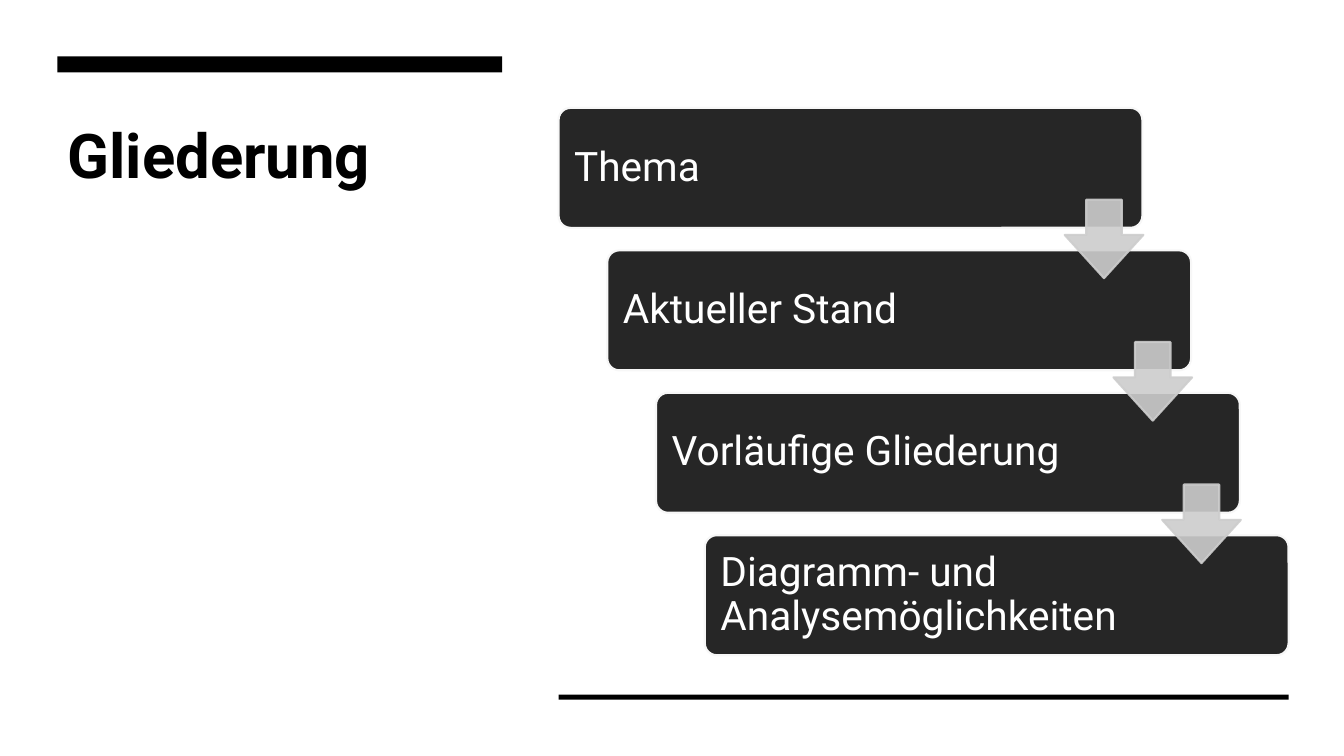
from lxml import etree
from pptx import Presentation
from pptx.dml.color import RGBColor
from pptx.enum.shapes import MSO_SHAPE
from pptx.enum.text import MSO_ANCHOR, PP_ALIGN
from pptx.oxml.ns import qn
from pptx.util import Pt

PX = 9144  # 100 px to the inch
FONT = "Roboto"
BLACK, WHITE, DARK, PALE, GREY = "000000", "FFFFFF", "262626", "F7F7F7", "CDCDCD"
STEPS = ["Thema", "Aktueller Stand", "Vorläufige Gliederung",
         "Diagramm- und Analysemöglichkeiten"]


def rgb(color):
    return RGBColor.from_string(color)


def set_opacity(fill, percent):
    color = fill._xPr.find(qn("a:solidFill"))[0]
    etree.SubElement(color, qn("a:alpha")).set("val", str(percent * 1000))


def add_shape(slide, kind, box, fill, line=None, adjust=(), opacity=100):
    s = slide.shapes.add_shape(kind, *(round(v * PX) for v in box))
    s.shadow.inherit = False
    s.fill.solid()
    s.fill.fore_color.rgb = rgb(fill)
    if line:
        s.line.color.rgb = rgb(line)
        s.line.width = Pt(1.5)
    else:
        s.line.fill.background()
    for i, value in enumerate(adjust):
        s.adjustments[i] = value
    if opacity < 100:
        set_opacity(s.fill, opacity)
        if line:
            set_opacity(s.line.fill, opacity)
    return s


def write(s, text, size, color, bold=False, anchor=MSO_ANCHOR.TOP,
          margins=(10, 5, 10, 5), spacing=1.0):
    tf = s.text_frame
    tf.word_wrap = True
    tf.vertical_anchor = anchor
    tf.margin_left, tf.margin_top, tf.margin_right, tf.margin_bottom = (
        m * PX for m in margins)
    p = tf.paragraphs[0]
    p.alignment = PP_ALIGN.LEFT
    p.line_spacing = spacing
    r = p.add_run()
    r.text = text
    r.font.name = FONT
    r.font.size = Pt(size)
    r.font.bold = bold
    r.font.color.rgb = rgb(color)


def add_heading(slide, x, y, w, h):
    """Place the title under a thick bar."""
    add_shape(slide, MSO_SHAPE.RECTANGLE, (x, y, w, 16), BLACK)
    title = slide.shapes.add_textbox(x * PX, (y + 51) * PX, w * PX, (h - 51) * PX)
    write(title, "Gliederung", 44, BLACK, bold=True, margins=(10, 9, 10, 5))


def add_staircase(slide, x, y, w, h):
    """Place the steps from top left to bottom right, joined by arrows."""
    step_w, step_h, arrow = 579, 119, 78
    gaps = len(STEPS) - 1
    dx, dy = (w - step_w) / gaps, (h - step_h) / gaps
    corners = [(x + i * dx, y + i * dy) for i in range(len(STEPS))]
    for (left, top), text in zip(corners, STEPS):
        s = add_shape(slide, MSO_SHAPE.ROUNDED_RECTANGLE,
                      (left, top, step_w, step_h), DARK, PALE, [0.1])
        write(s, text, 29, WHITE, anchor=MSO_ANCHOR.MIDDLE,
              margins=(12, 12, 12, 12), spacing=0.9)
    for left, top in corners[:-1]:
        add_shape(slide, MSO_SHAPE.DOWN_ARROW,
                  (left + step_w - arrow + 1, top + 91, arrow, arrow),
                  GREY, GREY, [0.45, 0.55], opacity=90)


def add_outline_slide(prs):
    slide = prs.slides.add_slide(prs.slide_layouts[6])
    add_heading(slide, 57, 56, 441, 419)
    add_shape(slide, MSO_SHAPE.RECTANGLE, (554, 689, 724, 5), BLACK)
    add_staircase(slide, 554, 107, 724, 543)


def main():
    prs = Presentation()
    prs.slide_width, prs.slide_height = 1333 * PX, 750 * PX
    add_outline_slide(prs)
    prs.save("out.pptx")


if __name__ == "__main__":
    main()
